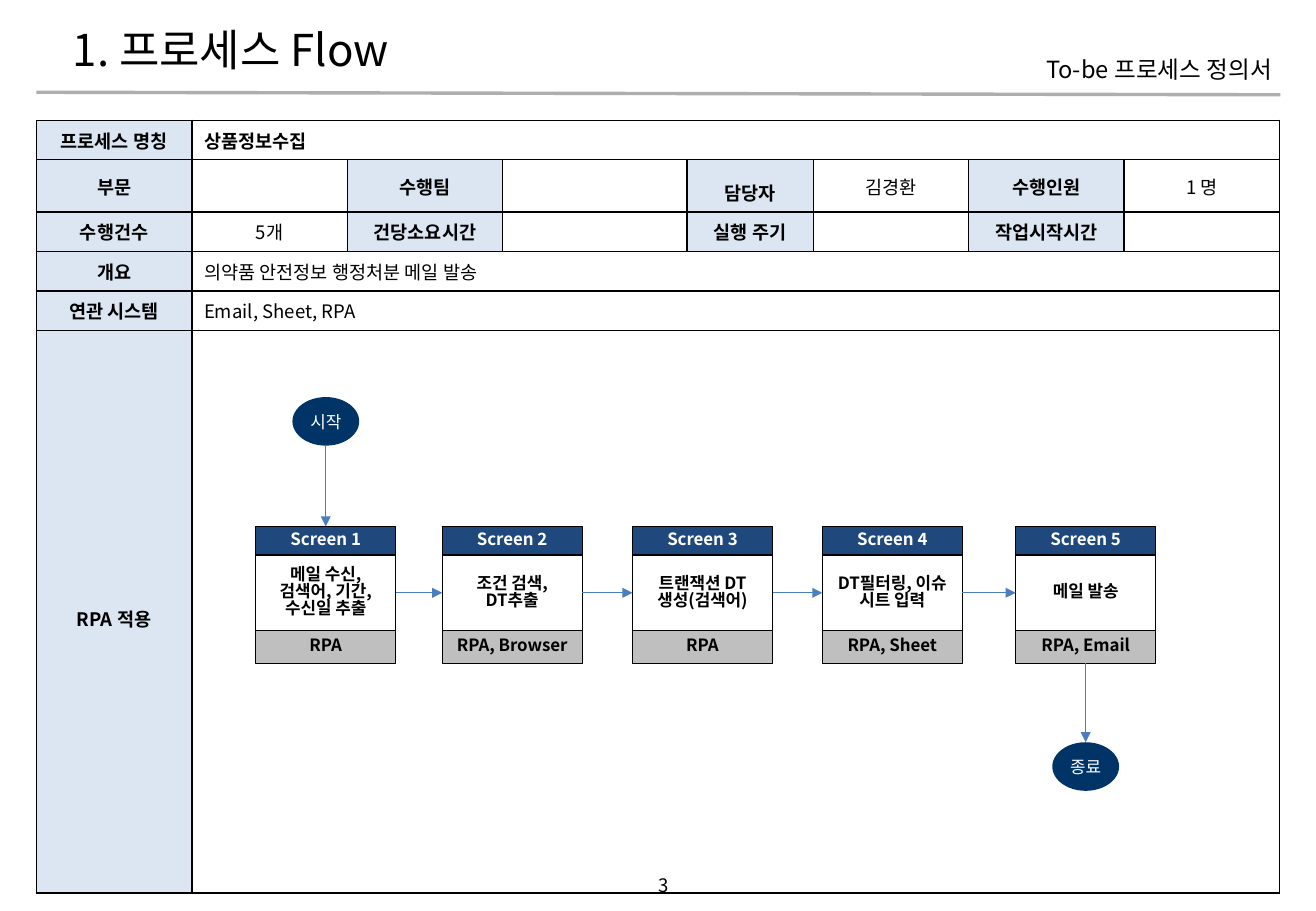
from pptx import Presentation
from pptx.dml.color import RGBColor
from pptx.enum.shapes import MSO_CONNECTOR, MSO_SHAPE
from pptx.enum.text import MSO_ANCHOR, PP_ALIGN
from pptx.oxml.ns import qn
from pptx.util import Pt
from lxml.etree import SubElement

FONT = "Noto Sans CJK KR"
COLORS = {
    "black": "000000", "white": "FFFFFF", "rule": "AEAEAE", "label": "DCE6F2",
    "navy": "1F497D", "gray": "BFBFBF", "terminal": "003366", "arrow": "4B7EBC",
}

# Process table: each row pairs a label with its value
TABLE_LEFT, TABLE_TOP = 21.6, 71.4
COLUMN_WIDTHS = [92.15, 92.15, 92.15, 109.2, 74.9, 92.15, 92.15, 92.15]
ROW_HEIGHTS = [23.2, 31.1, 23.4, 23.4, 23.4, 333.6]
TABLE_ROWS = [
    ["프로세스 명칭", "상품정보수집"],
    ["부문", "", "수행팀", "", "담당자", "김경환", "수행인원", "1 명"],
    ["수행건수", "5개", "건당소요시간", "", "실행 주기", "", "작업시작시간", ""],
    ["개요", "의약품 안전정보 행정처분 메일 발송"],
    ["연관 시스템", "Email, Sheet, RPA"],
    ["RPA 적용", ""],
]
LOOSE_LABELS = {"담당자", "RPA 적용"}
BOLD_VALUES = {"상품정보수집"}

# Flow: left edge, task and tools of each screen
SCREENS = [
    (151.6, "메일 수신, 검색어, 기간, 수신일 추출", "RPA"),
    (262.1, "조건 검색,\nDT추출", "RPA, Browser"),
    (374.9, "트랜잭션 DT 생성(검색어)", "RPA"),
    (487.4, "DT필터링, 이슈 시트 입력", "RPA, Sheet"),
    (602, "메일 발송", "RPA, Email"),
]
CARD_WIDTH = 83
HEADER_TOP, TASK_TOP, TOOLS_TOP, CARD_BOTTOM = 312, 329, 373.6, 393.2
ARROW_Y = 351.4
START_TOP, END_TOP = 235.4, 440
TERMINAL_WIDTH, TERMINAL_HEIGHT = 39.6, 28.8


def rgb(name):
    return RGBColor.from_string(COLORS[name])


def write(frame, text, size, color="black", bold=False,
          align=PP_ALIGN.CENTER, spacing=None):
    frame.text = text
    for paragraph in frame.paragraphs:
        paragraph.alignment = align
        if spacing:
            paragraph.line_spacing = spacing
        for run in paragraph.runs:
            run.font.name = FONT
            run.font.size = Pt(size)
            run.font.bold = bold
            run.font.color.rgb = rgb(color)
            SubElement(run.font._element, qn("a:ea"), typeface=FONT)
        if not paragraph.runs:
            paragraph._p.get_or_add_endParaRPr().set("sz", str(size * 100))


def add_label(slide, left, top, width, height, text, size, align, anchor):
    label = slide.shapes.add_textbox(Pt(left), Pt(top), Pt(width), Pt(height))
    label.text_frame.word_wrap = True
    label.text_frame.vertical_anchor = anchor
    write(label.text_frame, text, size, align=align)


def add_box(slide, kind, left, top, width, height, fill, text, color,
            bold=True, outline=True, inset=(6.5, 2.9), spacing=None):
    box = slide.shapes.add_shape(kind, Pt(left), Pt(top), Pt(width), Pt(height))
    box.shadow.inherit = False
    box.fill.solid()
    box.fill.fore_color.rgb = rgb(fill)
    if outline:
        box.line.color.rgb = rgb("black")
        box.line.width = Pt(0.75)
    else:
        box.line.fill.background()
    frame = box.text_frame
    frame.word_wrap = True
    frame.vertical_anchor = MSO_ANCHOR.MIDDLE
    frame.margin_left = frame.margin_right = Pt(inset[0])
    frame.margin_top = frame.margin_bottom = Pt(inset[1])
    write(frame, text, 10, color, bold, spacing=spacing)


def add_line(slide, x1, y1, x2, y2, color, width, arrow=False):
    line = slide.shapes.add_connector(
        MSO_CONNECTOR.STRAIGHT, Pt(x1), Pt(y1), Pt(x2), Pt(y2))
    line.line.color.rgb = rgb(color)
    line.line.width = Pt(width)
    if arrow:
        SubElement(line.line._get_or_add_ln(), qn("a:tailEnd"), type="triangle")
    SubElement(line._element.spPr, qn("a:effectLst"))


def add_arrow(slide, x1, y1, x2, y2):
    add_line(slide, x1, y1, x2, y2, "arrow", 0.75, arrow=True)


def add_terminal(slide, center, top, text):
    add_box(slide, MSO_SHAPE.OVAL, center - TERMINAL_WIDTH / 2, top,
            TERMINAL_WIDTH, TERMINAL_HEIGHT, "terminal", text, "white",
            bold=False, outline=False, inset=(0, 0))


def add_screen(slide, number, left, task, tools):
    parts = [
        (HEADER_TOP, TASK_TOP, "navy", f"Screen {number}", "white", 0.8),
        (TASK_TOP, TOOLS_TOP, "white", task, "black", 0.83),
        (TOOLS_TOP, CARD_BOTTOM, "gray", tools, "black", 0.8),
    ]
    for top, bottom, fill, text, color, spacing in parts:
        add_box(slide, MSO_SHAPE.RECTANGLE, left, top, CARD_WIDTH, bottom - top,
                fill, text, color, spacing=spacing)


def border_cell(cell):
    properties = cell._tc.get_or_add_tcPr()
    for side in ("lnL", "lnR", "lnT", "lnB"):
        edge = SubElement(properties, qn(f"a:{side}"), w=str(Pt(1)))
        fill = SubElement(edge, qn("a:solidFill"))
        SubElement(fill, qn("a:srgbClr"), val=COLORS["black"])


def add_process_table(slide):
    table = slide.shapes.add_table(
        len(ROW_HEIGHTS), len(COLUMN_WIDTHS), Pt(TABLE_LEFT), Pt(TABLE_TOP),
        Pt(sum(COLUMN_WIDTHS)), Pt(sum(ROW_HEIGHTS))).table
    for column, width in zip(table.columns, COLUMN_WIDTHS):
        column.width = Pt(width)
    for row, height in zip(table.rows, ROW_HEIGHTS):
        row.height = Pt(height)
    last = len(COLUMN_WIDTHS) - 1
    for r, texts in enumerate(TABLE_ROWS):
        wide = len(texts) == 2
        if wide:
            table.cell(r, 1).merge(table.cell(r, last))
        for c in range(last + 1):
            cell = table.cell(r, c)
            text = texts[c] if c < len(texts) else ""
            is_label = c % 2 == 0 and c < len(texts)
            border_cell(cell)
            if is_label:
                cell.fill.solid()
                cell.fill.fore_color.rgb = rgb("label")
            else:
                cell.fill.background()
            cell.vertical_anchor = MSO_ANCHOR.MIDDLE
            write(cell.text_frame, text, 11,
                  bold=is_label or text in BOLD_VALUES,
                  align=PP_ALIGN.LEFT if wide and c else PP_ALIGN.CENTER,
                  spacing=1.5 if text in LOOSE_LABELS else None)


def add_flow(slide):
    for number, (left, task, tools) in enumerate(SCREENS, 1):
        add_screen(slide, number, left, task, tools)
    lefts = [screen[0] for screen in SCREENS]
    for left, following in zip(lefts, lefts[1:]):
        add_arrow(slide, left + CARD_WIDTH, ARROW_Y, following, ARROW_Y)
    first, final = (left + CARD_WIDTH / 2 for left in (lefts[0], lefts[-1]))
    add_terminal(slide, first, START_TOP, "시작")
    add_arrow(slide, first, START_TOP + TERMINAL_HEIGHT, first, HEADER_TOP)
    add_terminal(slide, final, END_TOP, "종료")
    add_arrow(slide, final, CARD_BOTTOM, final, END_TOP)


def main():
    deck = Presentation()
    deck.slide_width, deck.slide_height = Pt(780), Pt(540)
    slide = deck.slides.add_slide(deck.slide_layouts[6])

    # Heading and page number
    add_line(slide, 21.6, 54.7, 758.9, 56.2, "rule", 2)
    add_label(slide, 593.3, 28.8, 167.8, 24.5, "To-be 프로세스 정의서", 14,
              PP_ALIGN.RIGHT, MSO_ANCHOR.TOP)
    add_label(slide, 373.7, 514.8, 38.9, 20.2, "3", 11,
              PP_ALIGN.CENTER, MSO_ANCHOR.MIDDLE)
    add_label(slide, 36, 9.4, 530, 39.6, "1. 프로세스 Flow", 26,
              PP_ALIGN.LEFT, MSO_ANCHOR.MIDDLE)

    # Process details and flow
    add_process_table(slide)
    add_flow(slide)
    deck.save("out.pptx")


if __name__ == "__main__":
    main()
